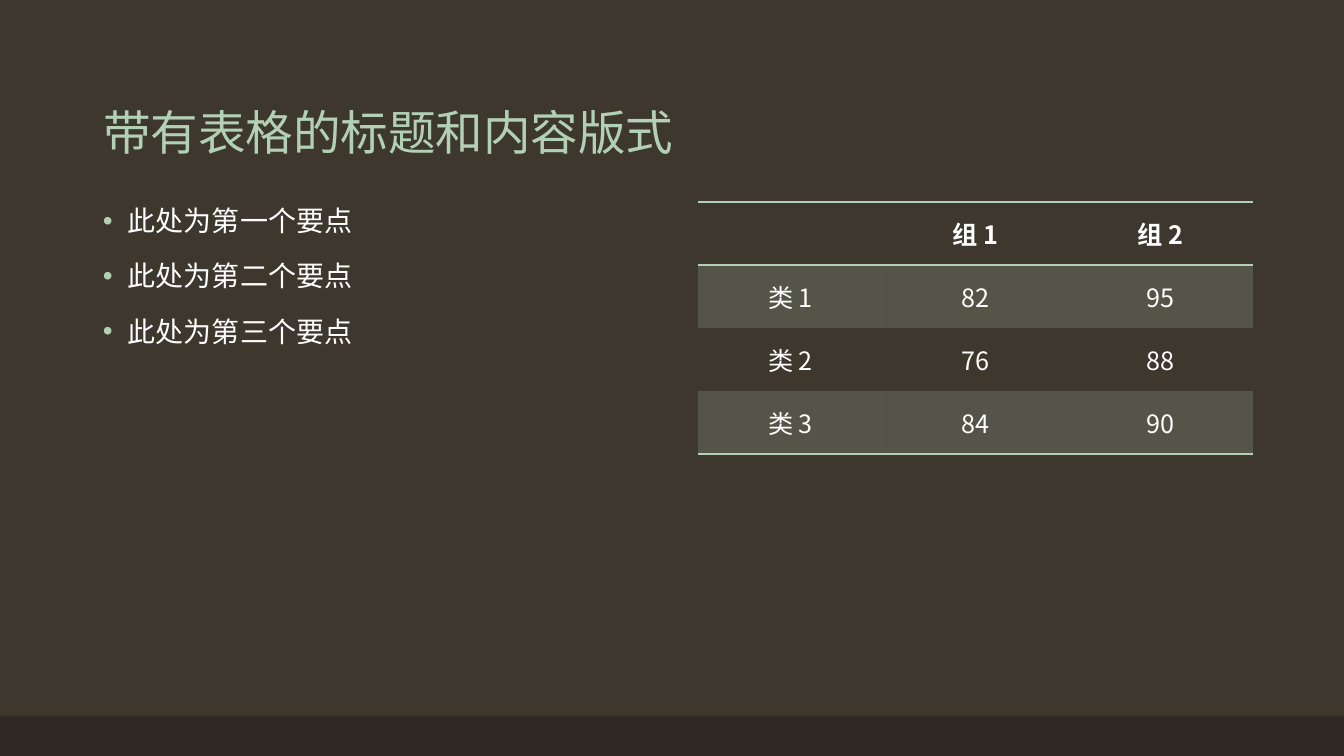
import dataclasses

import lxml.etree
import pptx
import pptx.dml.color
import pptx.enum.shapes
import pptx.enum.text
import pptx.oxml
import pptx.oxml.ns
import pptx.util

# Content
TITLE = "带有表格的标题和内容版式"
POINTS = ["此处为第一个要点", "此处为第二个要点", "此处为第三个要点"]
ROWS = [
    ("", "组 1", "组 2"),
    ("类 1", "82", "95"),
    ("类 2", "76", "88"),
    ("类 3", "84", "90"),
]


@dataclasses.dataclass(frozen=True)
class Theme:
    back: str = "3D372E"
    band: str = "2E2923"
    mint: str = "B2D0B4"
    white: str = "FFFFFF"
    serif: str = "TeX Gyre Schola"
    sans: str = "Noto Sans CJK SC"
    head: int = 34
    body: int = 20
    cell: int = 18
    tint: int = 20  # opacity of shaded rows, percent


THEME = Theme()

# Layout in px
WIDE, HIGH = 1344, 756
BAND = 40
LEFT, TOP = 93, 202
TITLE_BOX = (LEFT, 40, 1159, 126)
LIST_BOX = (LEFT, TOP, 554, 480)
TABLE_LEFT, COL, ROW = 698, 185, 63
INDENT = 25

NO_STYLE = "{2D5ABB26-0587-4C30-8999-92F81FD0307C}"
ALIGN = pptx.enum.text.PP_ALIGN
ANCHOR = pptx.enum.text.MSO_ANCHOR


def px(size):
    return round(size * 914400 / 100.8)


def rgb(code):
    return pptx.dml.color.RGBColor.from_string(code)


def add_node(parent, tag, **attrs):
    node = lxml.etree.SubElement(parent, pptx.oxml.ns.qn(tag))
    for key, value in attrs.items():
        node.set(key, str(value))
    return node


def write(para, text, size, font=THEME.serif, color=THEME.white,
          bold=False, align=ALIGN.LEFT, line=None, before=None):
    para.alignment = align
    if line is not None:
        para.line_spacing = line
    if before is not None:
        para.space_before = pptx.util.Pt(before)
    run = para.add_run()
    run.text = text
    run.font.size = pptx.util.Pt(size)
    run.font.name = font
    run.font.bold = bold
    run.font.color.rgb = rgb(color)
    add_node(run.font._element, "a:ea", typeface=font)


def add_bullet(para):
    props = para._p.get_or_add_pPr()
    props.set("marL", str(px(INDENT)))
    props.set("indent", str(-px(INDENT)))
    tint = add_node(props, "a:buClr")
    add_node(tint, "a:srgbClr", val=THEME.mint)
    add_node(props, "a:buFont", typeface="Arial")
    add_node(props, "a:buChar", char="•")


def add_edges(cell, tags):
    props = cell._tc.get_or_add_tcPr()
    for spot, tag in enumerate(tags):
        edge = add_node(props, tag, w=pptx.util.Pt(1))
        fill = add_node(edge, "a:solidFill")
        add_node(fill, "a:srgbClr", val=THEME.mint)
        props.insert(spot, edge)


def shade(cell):
    cell.fill.solid()
    cell.fill.fore_color.rgb = rgb(THEME.mint)
    for color in cell._tc.tcPr.iter(pptx.oxml.ns.qn("a:srgbClr")):
        add_node(color, "a:alpha", val=THEME.tint * 1000)


def add_title(slide):
    title = slide.shapes.title
    title.left, title.top, title.width, title.height = map(px, TITLE_BOX)
    frame = title.text_frame
    frame.auto_size = pptx.enum.text.MSO_AUTO_SIZE.NONE
    frame.vertical_anchor = ANCHOR.BOTTOM
    write(frame.paragraphs[0], TITLE, THEME.head, color=THEME.mint, line=0.9)


def add_band(slide):
    band = slide.shapes.add_shape(
        pptx.enum.shapes.MSO_SHAPE.RECTANGLE,
        0, px(HIGH - BAND), px(WIDE), px(BAND))
    band.shadow.inherit = False
    band.fill.solid()
    band.fill.fore_color.rgb = rgb(THEME.band)
    band.line.fill.background()


def add_list(slide):
    frame = slide.shapes.add_textbox(*map(px, LIST_BOX)).text_frame
    frame.word_wrap = True
    for i, point in enumerate(POINTS):
        para = frame.add_paragraph() if i else frame.paragraphs[0]
        write(para, point, THEME.body, line=0.9, before=18)
        add_bullet(para)


def add_grid(slide):
    count, cols = len(ROWS), len(ROWS[0])
    table = slide.shapes.add_table(
        count, cols, px(TABLE_LEFT), px(TOP),
        px(COL * cols), px(ROW * count)).table
    table._tbl.tblPr.find(pptx.oxml.ns.qn("a:tableStyleId")).text = NO_STYLE
    table.horz_banding = False
    for i, row in enumerate(ROWS):
        table.rows[i].height = px(ROW)
        for j, text in enumerate(row):
            cell = table.cell(i, j)
            cell.vertical_anchor = ANCHOR.MIDDLE
            if text:
                write(cell.text_frame.paragraphs[0], text, THEME.cell,
                      font=THEME.sans, bold=i == 0, align=ALIGN.CENTER)
            # Every odd row is shaded; rules frame the header and the end
            if i % 2:
                shade(cell)
            else:
                cell.fill.background()
            if i == 0:
                add_edges(cell, ["a:lnT", "a:lnB"])
            elif i == count - 1:
                add_edges(cell, ["a:lnB"])


def main():
    deck = pptx.Presentation()
    deck.slide_width, deck.slide_height = px(WIDE), px(HIGH)
    slide = deck.slides.add_slide(deck.slide_layouts.get_by_name("Title Only"))
    slide.background.fill.solid()
    slide.background.fill.fore_color.rgb = rgb(THEME.back)
    add_band(slide)
    add_title(slide)
    add_list(slide)
    add_grid(slide)
    deck.save("out.pptx")


if __name__ == "__main__":
    main()
